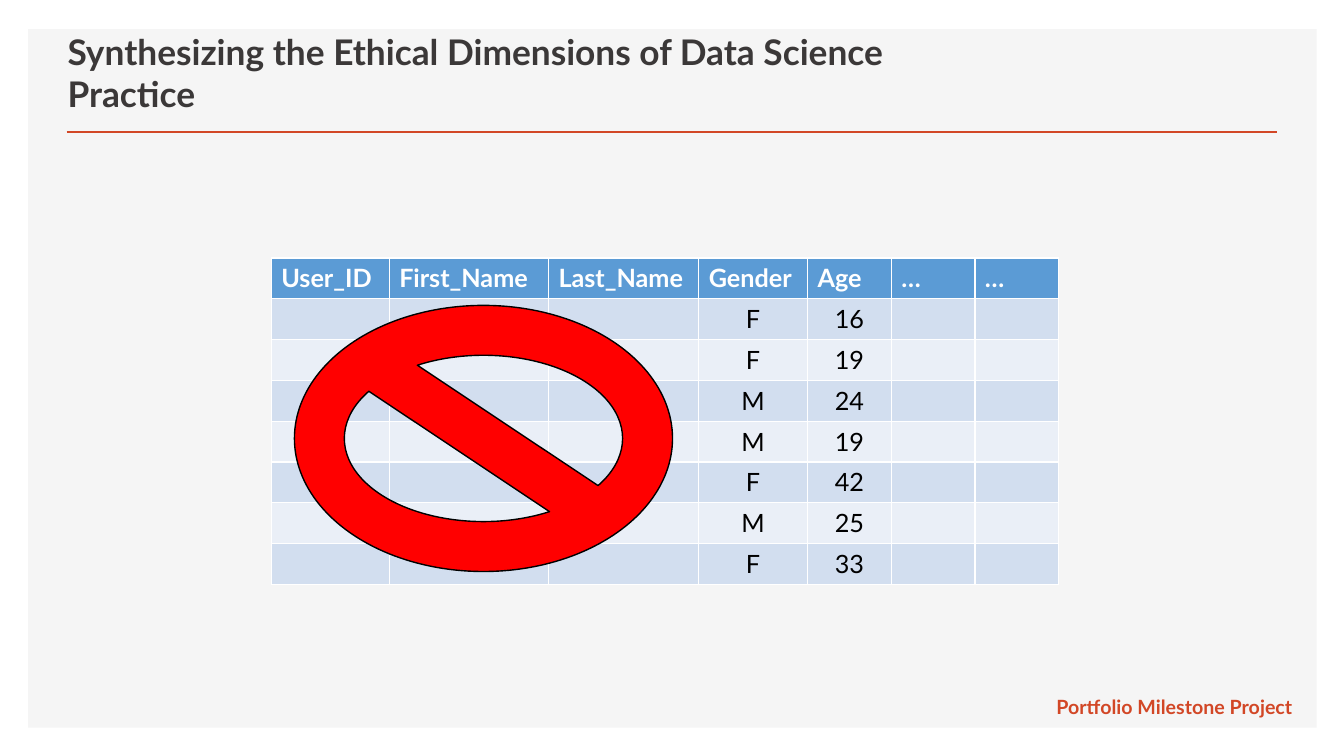
from pptx import Presentation
from pptx.dml.color import RGBColor
from pptx.enum.shapes import MSO_CONNECTOR as Link, MSO_SHAPE as Shape
from pptx.enum.text import MSO_ANCHOR as Anchor, MSO_AUTO_SIZE as Fit, PP_ALIGN as Align
from pptx.util import Inches, Pt
from lxml.etree import SubElement
from pptx.oxml.ns import qn

TITLE = "Synthesizing the Ethical Dimensions of Data Science Practice"
FOOTER = "Portfolio Milestone Project"
HEADS = ["User_ID", "First_Name", "Last_Name", "Gender", "Age", "…", "…"]
PEOPLE = [("F", 16), ("F", 19), ("M", 24), ("M", 19), ("F", 42), ("M", 25), ("F", 33)]
WIDTHS = [1.17, 1.58, 1.49, 1.08, 0.83, 0.83, 0.83]
ROW = 0.405
FONT, ACCENT = "Lato", "D24726"
BLUE, BANDS = "5B9BD5", ("D2DEEF", "EAEFF7")


def color(code):
    return RGBColor.from_string(code)


def box(*sizes):
    return [Inches(size) for size in sizes]


def style(para, size, code, bold=False, align=Align.LEFT):
    para.alignment = align
    font = para.font
    font.name, font.size, font.bold = FONT, Pt(size), bold
    font.color.rgb = color(code)


def draw(slide, kind, place, fill, line=None):
    shape = slide.shapes.add_shape(kind, *box(*place))
    shape.shadow.inherit = False
    shape.fill.solid()
    shape.fill.fore_color.rgb = color(fill)
    if line:
        shape.line.color.rgb = color(line)
        shape.line.width = Pt(1)
    else:
        shape.line.fill.background()


def add_frame(slide):
    """Draw the grey panel, the rule and the title above it."""
    draw(slide, Shape.RECTANGLE, (0.28, 0.29, 12.78, 6.93), "F5F5F5")
    rule = slide.shapes.add_connector(Link.STRAIGHT, *box(0.66, 1.31, 12.67, 1.31))
    rule.line.color.rgb = color(ACCENT)
    rule.line.width = Pt(2)
    SubElement(rule._element.spPr, qn("a:effectLst"))

    title = slide.shapes.title
    title.left, title.top, title.width, title.height = box(0.57, 0.49, 9.38, 0.7)
    frame = title.text_frame
    frame.text = TITLE
    frame.auto_size = Fit.NONE
    frame.vertical_anchor = Anchor.BOTTOM
    style(frame.paragraphs[0], 25.2, "3B3838", True)
    # Bring the title in front of the panel.
    slide.shapes._spTree.append(title._element)


def add_footer(slide):
    frame = slide.shapes.add_textbox(*box(10.38, 6.84, 2.7, 0.34)).text_frame
    frame.word_wrap = False
    frame.auto_size = Fit.SHAPE_TO_FIT_TEXT
    frame.text = FOOTER
    style(frame.paragraphs[0], 14, ACCENT, True)


def add_people(slide):
    rows = [HEADS] + [["", "", "", sex, str(age), "", ""] for sex, age in PEOPLE]
    place = box(2.69, 2.56, sum(WIDTHS), ROW * len(rows))
    table = slide.shapes.add_table(len(rows), len(HEADS), *place).table
    for col, width in zip(table.columns, WIDTHS):
        col.width = Inches(width)
    for r, row in enumerate(rows):
        table.rows[r].height = Inches(ROW)
        for c, text in enumerate(row):
            cell = table.cell(r, c)
            cell.text = text
            cell.fill.solid()
            cell.fill.fore_color.rgb = color(BANDS[(r - 1) % 2] if r else BLUE)
            para = cell.text_frame.paragraphs[0]
            if r:
                style(para, 18, "000000", align=Align.CENTER)
            else:
                style(para, 18, "FFFFFF", True)


def main():
    deck = Presentation()
    deck.slide_width, deck.slide_height = box(13.33, 7.5)
    slide = deck.slides.add_slide(deck.slide_layouts[5])
    add_frame(slide)
    add_footer(slide)
    add_people(slide)
    draw(slide, Shape.NO_SYMBOL, (2.92, 3.03, 3.75, 2.64), "FF0000", "000000")
    deck.save("out.pptx")


if __name__ == "__main__":
    main()
